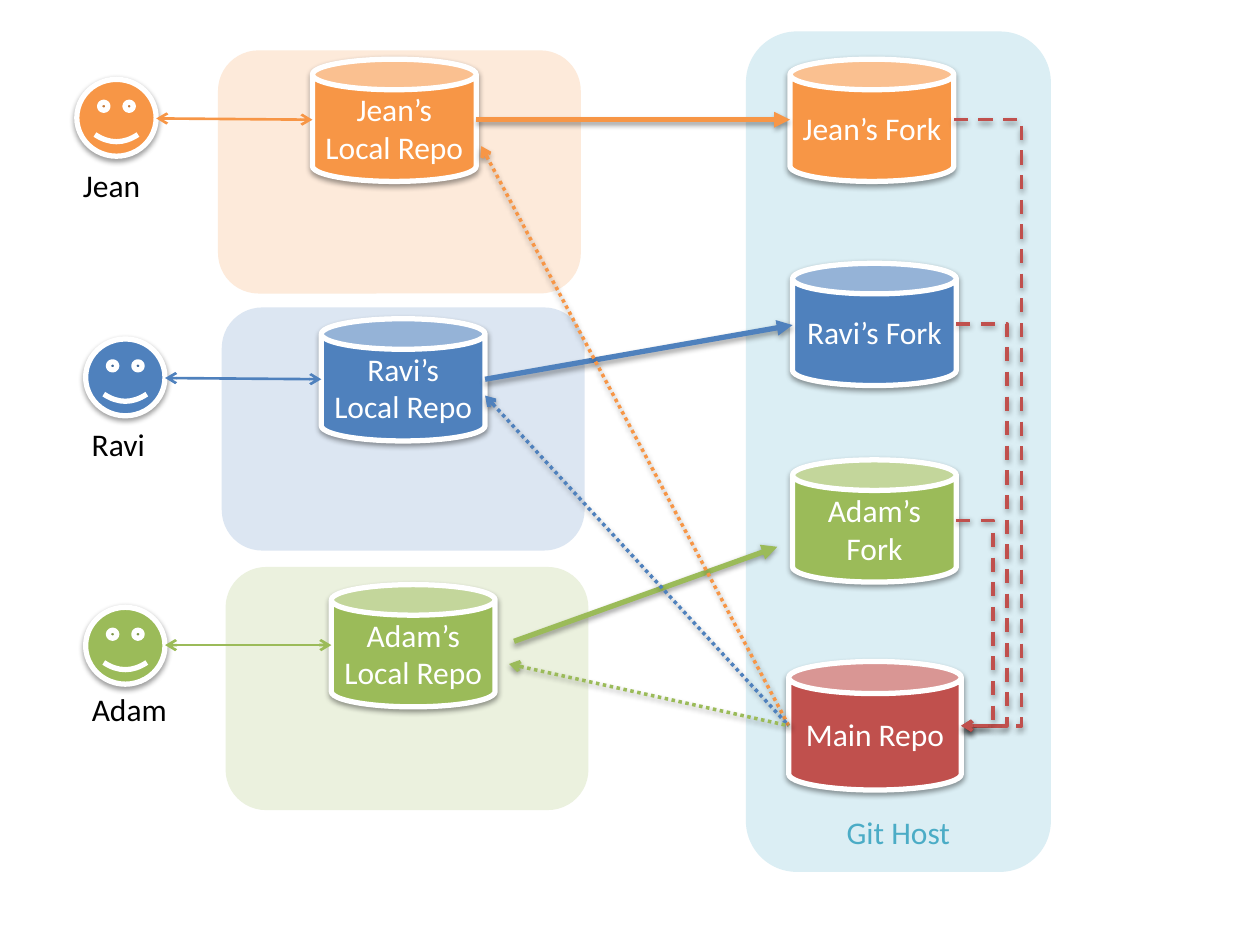
from pptx import Presentation
from pptx.dml.color import RGBColor
from pptx.enum.dml import MSO_LINE
from pptx.enum.shapes import MSO_CONNECTOR, MSO_SHAPE
from pptx.enum.text import MSO_ANCHOR, MSO_AUTO_SIZE, PP_ALIGN
from pptx.oxml import parse_xml
from pptx.oxml.ns import nsdecls
from pptx.util import Emu, Pt

PX = 9144  # 100 px to the inch
ORANGE, BLUE, GREEN, RED = "F79646", "4F81BD", "9BBB59", "C0504D"
WHITE, BLACK, TEAL = "FFFFFF", "000000", "4BACC6"
CAN_SIZE = (130, 97)
FACE_SIZE = (63, 61)
REGION_SIZE = (288, 193)
MAIN_REPO = (626, 525, 137, 102)

# One row per person: places are left, top; push and pull are line ends
PEOPLE = [
    dict(name="Jean", color=ORANGE, tint="FDEADA", region=(173, 40), face=(61, 63),
         label=(56, 127, 73, 42), local=(248, 47), fork=(627, 47), link=(94, 95),
         push=(378, 95, 627, 95), pull=(382, 116), bend=811),
    dict(name="Ravi", color=BLUE, tint="DCE6F2", region=(176, 244), face=(68, 269),
         label=(63, 332, 73, 42), local=(255, 253), fork=(629, 209), link=(300, 301),
         push=(385, 301, 629, 258), pull=(385, 314), bend=799),
    dict(name="Adam", color=GREEN, tint="EBF1DE", region=(179, 450), face=(68, 482),
         label=(63, 543, 92, 40), local=(263, 464), fork=(629, 365), link=(512, 512),
         push=(408, 509, 617, 434), pull=(404, 527), bend=788),
]


def px(*values):
    return [Emu(value * PX) for value in values]


def rgb(color):
    return RGBColor.from_string(color)


def apply_format(target, values):
    for name, value in values.items():
        setattr(target, name, value)


def add_effects(element, shadow):
    """Give a shape or connector the soft drop shadow, or none."""
    effects = parse_xml(f"<a:effectLst {nsdecls('a')}/>")
    if shadow:
        effects.append(parse_xml(
            f'<a:outerShdw {nsdecls("a")} blurRad="40000" dist="20000" dir="5400000" '
            'rotWithShape="0"><a:srgbClr val="000000"><a:alpha val="38000"/>'
            "</a:srgbClr></a:outerShdw>"))
    element.spPr.append(effects)


def write(shape, text, color, align, **frame_format):
    frame = shape.text_frame
    apply_format(frame, dict(word_wrap=True, **frame_format))
    paragraph = frame.paragraphs[0]
    paragraph.alignment = align
    run = paragraph.add_run()
    run.text = text
    apply_format(run.font, dict(name="Calibri", size=Pt(18)))
    run.font.color.rgb = rgb(color)


def add_region(slide, box, color):
    shape = slide.shapes.add_shape(MSO_SHAPE.ROUNDED_RECTANGLE, *px(*box))
    shape.shadow.inherit = False
    shape.fill.solid()
    shape.fill.fore_color.rgb = rgb(color)
    shape.line.fill.background()
    return shape


def add_icon(slide, kind, box, color):
    """Filled shape with a white outline and a shadow."""
    shape = slide.shapes.add_shape(kind, *px(*box))
    shape.fill.solid()
    shape.fill.fore_color.rgb = rgb(color)
    shape.line.color.rgb = rgb(WHITE)
    shape.line.width = Pt(3)
    add_effects(shape._element, True)
    return shape


def add_repo(slide, text, box, color):
    shape = add_icon(slide, MSO_SHAPE.CAN, box, color)
    write(shape, text, WHITE, PP_ALIGN.CENTER, vertical_anchor=MSO_ANCHOR.MIDDLE)


def add_label(slide, text, box):
    label = slide.shapes.add_textbox(*px(*box))
    write(label, text, BLACK, PP_ALIGN.LEFT, auto_size=MSO_AUTO_SIZE.SHAPE_TO_FIT_TEXT)


def add_arrow(slide, ends, color, width, head=None, tail=None, dash=None,
              shadow=True, bend=None):
    kind = MSO_CONNECTOR.STRAIGHT if bend is None else MSO_CONNECTOR.ELBOW
    connector = slide.shapes.add_connector(kind, *px(*ends))
    connector.line.color.rgb = rgb(color)
    apply_format(connector.line, dict(width=Pt(width), dash_style=dash))
    line = connector.line._get_or_add_ln()
    for tag, end in (("headEnd", head), ("tailEnd", tail)):
        if end:
            line.append(parse_xml(f'<a:{tag} {nsdecls("a")} type="{end}"/>'))
    if bend is not None:
        share = round((bend - ends[0]) / (ends[2] - ends[0]) * 100000)
        geometry = connector._element.spPr.prstGeom
        geometry.get_or_add_avLst().append(parse_xml(
            f'<a:gd {nsdecls("a")} name="adj1" fmla="val {share}"/>'))
    add_effects(connector._element, shadow)


def add_person(slide, person):
    """Face, name, local repository and fork, with the links between them."""
    name, color = person["name"], person["color"]
    add_icon(slide, MSO_SHAPE.SMILEY_FACE, person["face"] + FACE_SIZE, color)
    add_label(slide, name, person["label"])
    add_repo(slide, f"{name}’s Local Repo", person["local"] + CAN_SIZE, color)
    add_repo(slide, f"{name}’s Fork", person["fork"] + CAN_SIZE, color)
    start, end = person["link"]
    add_arrow(slide, (person["face"][0] + FACE_SIZE[0], start, person["local"][0], end),
              color, 1.5, head="arrow", tail="arrow", shadow=False)
    add_arrow(slide, person["push"], color, 3, tail="triangle")


def add_main_links(slide, person):
    """Dotted pull from the main repository and dashed request to it."""
    left, top, width, height = MAIN_REPO
    middle = top + height // 2
    add_arrow(slide, person["pull"] + (left, middle), person["color"], 2,
              head="arrow", dash=MSO_LINE.ROUND_DOT)
    fork_left, fork_top = person["fork"]
    start = (fork_left + CAN_SIZE[0], fork_top + CAN_SIZE[1] // 2)
    add_arrow(slide, start + (left + width, middle), RED, 2, tail="arrow",
              dash=MSO_LINE.DASH, bend=person["bend"])


def main():
    presentation = Presentation()
    presentation.slide_width, presentation.slide_height = px(1000, 750)
    slide = presentation.slides.add_slide(presentation.slide_layouts[6])

    # Background regions
    for person in PEOPLE:
        add_region(slide, person["region"] + REGION_SIZE, person["tint"])
    host = add_region(slide, (592, 25, 242, 667), "DBEEF4")
    write(host, "Git Host", TEAL, PP_ALIGN.CENTER, vertical_anchor=MSO_ANCHOR.BOTTOM)

    # People and repositories
    add_repo(slide, "Main Repo", MAIN_REPO, RED)
    for person in PEOPLE:
        add_person(slide, person)

    # Links with the main repository
    for person in PEOPLE:
        add_main_links(slide, person)

    presentation.save("out.pptx")


if __name__ == "__main__":
    main()
